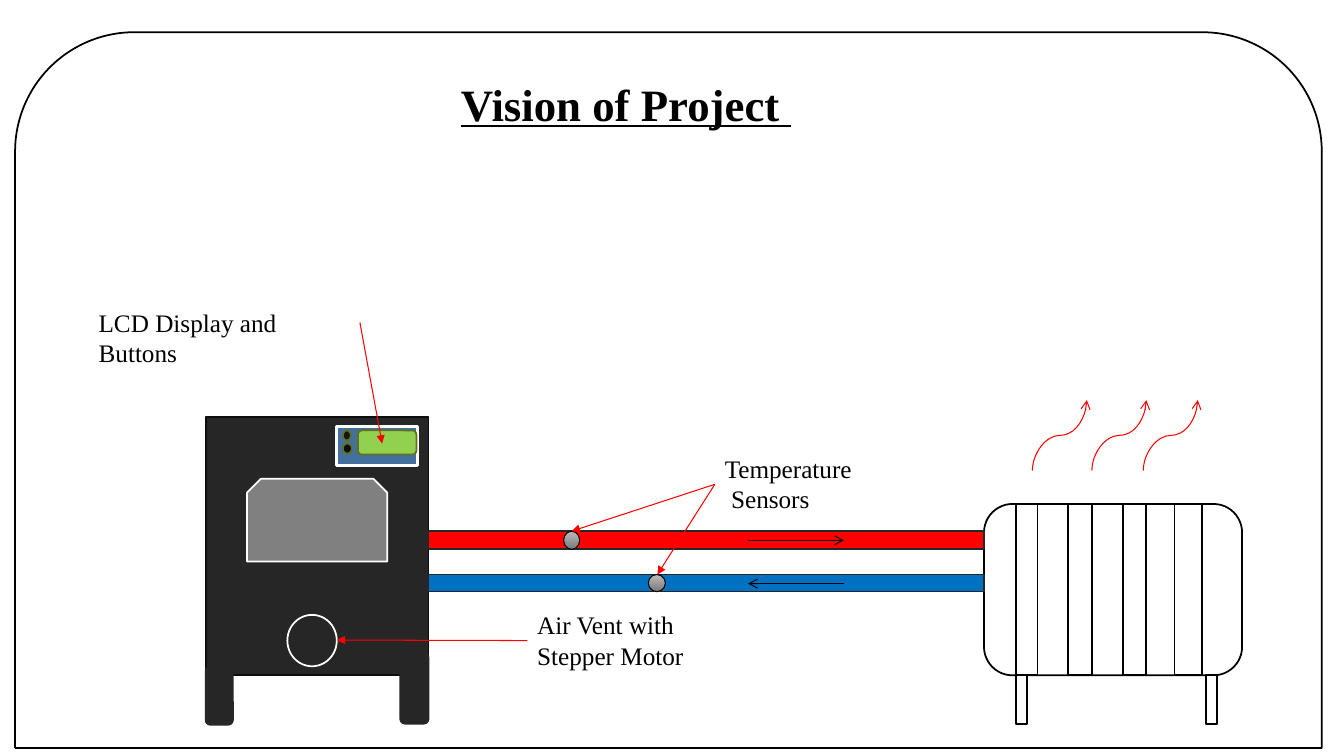
"""Build the "Vision of Project" slide: a boiler feeding a radiator through two pipes."""
from pptx import Presentation
from pptx import util as u
from pptx.dml import color
from pptx.enum import shapes, text
from pptx.oxml import ns, xmlchemy

FONT = "Times New Roman"
COLORS = {
    "white": "FFFFFF", "black": "000000", "coal": "262626", "ink": "0D0D0D",
    "gray": "808080", "red": "FF0000", "blue": "0070C0", "panel": "44709D",
    "lcd": "92D050", "olive": "61711F", "button": "161616",
    "metal_light": "BCBCBC", "metal_dark": "797979",
}
KIND = shapes.MSO_SHAPE
RECT, ROUND, CIRCLE = KIND.RECTANGLE, KIND.ROUNDED_RECTANGLE, KIND.FLOWCHART_CONNECTOR

TITLE = ("Vision of Project ", (4.47, 0.71, 3.53, 0.64))
FRAME = (KIND.ROUND_2_SAME_RECTANGLE, (0.15, 0.32, 12.96, 7.1), "white", "black", 1.25)
BOILER = [
    (RECT, (2.04, 4.14, 2.21, 2.56), "coal", "ink", 1.25),
    (KIND.SNIP_2_SAME_RECTANGLE, (2.45, 4.75, 1.39, 0.82), "gray", "white", 1.25),
    (CIRCLE, (2.85, 6.1, 0.49, 0.51), "coal", "white", 1.25),
    (ROUND, (2.04, 6.61, 0.27, 0.58), "coal", "coal", 1.25),
    (ROUND, (3.97, 6.48, 0.28, 0.7), "coal", "coal", 1.25),
]
RADIATOR = (9.76, 5, 2.56, 1.7)
FINS = [(10.08, 0.21), (10.59, 0.24), (11.14, 0.23), (11.65, 0.27)]
RADIATOR_LEGS = [10.08, 11.96]
PIPES = [
    (RECT, (4.25, 5.27, 5.51, 0.18), "red", "coal", 1.25),
    (RECT, (4.25, 5.7, 5.51, 0.17), "blue", "coal", 1.25),
]
CONTROLS = [
    (RECT, (3.34, 4.23, 0.8, 0.39), "panel", "white", 2),
    (ROUND, (3.55, 4.27, 0.58, 0.24), "lcd", "olive", 1.25),
    (CIRCLE, (3.4, 4.27, 0.08, 0.1), "button", "olive", 1.25),
    (CIRCLE, (3.4, 4.4, 0.09, 0.1), "ink", "olive", 1.25),
]
SENSORS = [(5.59, 5.27, 0.16, 0.18), (6.43, 5.7, 0.17, 0.17)]
LEFT, RIGHT = 1, 3
LABELS = [
    ("Air Vent with Stepper Motor", (5.23, 6, 1.86, 0.71), LEFT, [(3.34, 6.35)]),
    ("Temperature\n Sensors", (7.09, 4.45, 1.52, 0.71), LEFT, [(5.67, 5.27), (6.52, 5.7)]),
    ("LCD Display and Buttons", (0.88, 3, 2.69, 0.4), RIGHT, [(3.79, 4.4)]),
]
FLOWS = [((7.42, 5.36), (8.37, 5.36), "ink"), ((8.37, 5.79), (7.42, 5.79), "black")]
HEAT_LEFTS = [10.24, 10.83, 11.34]
HEAT_TOP, HEAT_WIDTH, HEAT_HEIGHT = 3.97, 0.54, 0.7


def rgb(name):
    return color.RGBColor.from_string(COLORS[name])


def add_part(page, kind, area, fill, line, weight):
    part = page.shapes.add_shape(kind, *map(u.Inches, area))
    part.shadow.inherit = False
    part.fill.solid()
    part.fill.fore_color.rgb = rgb(fill)
    part.line.color.rgb = rgb(line)
    part.line.width = u.Pt(weight)
    return part


def add_arrow(page, start, end, line, head, kind=shapes.MSO_CONNECTOR.STRAIGHT):
    arrow = page.shapes.add_connector(kind, *map(u.Inches, start + end))
    arrow.line.color.rgb = rgb(line)
    arrow.line.width = u.Pt(0.75)
    tail = xmlchemy.OxmlElement("a:tailEnd")
    tail.set("type", head)
    arrow.line._get_or_add_ln().append(tail)
    arrow._element.spPr.append(xmlchemy.OxmlElement("a:effectLst"))
    return arrow


def write(box, words, size, bold=False):
    frame = box.text_frame
    frame.text = words
    frame.word_wrap = True
    frame.auto_size = text.MSO_AUTO_SIZE.NONE
    frame.vertical_anchor = text.MSO_ANCHOR.TOP
    for para in frame.paragraphs:
        para.alignment = text.PP_ALIGN.LEFT
        for span in para.runs:
            span.font.name = FONT
            span.font.size = u.Pt(size)
            span.font.bold = span.font.underline = bold
            span.font.color.rgb = rgb("black")


def add_title(page):
    words, area = TITLE
    title = page.shapes.title
    title.left, title.top, title.width, title.height = map(u.Inches, area)
    write(title, words, 32, bold=True)
    title.text_frame.paragraphs[0].line_spacing = 1.0
    page.shapes._spTree.append(title._element)


def add_radiator(page):
    left, top, width, height = RADIATOR
    add_part(page, ROUND, RADIATOR, "white", "black", 1.25)
    bars = [(x, top, w, height) for x, w in FINS]
    bars += [(x, top + height, 0.11, 0.48) for x in RADIATOR_LEGS]
    for area in bars:
        add_part(page, RECT, area, "white", "black", 1.25)


def add_sensor(page, area):
    sensor = add_part(page, CIRCLE, area, "gray", "black", 0.75)
    sensor.fill.gradient()
    sensor.fill.gradient_angle = 270
    for stop, place, shade in zip(sensor.fill.gradient_stops, (0, 1), ("metal_light", "metal_dark")):
        stop.position = place
        stop.color.rgb = rgb(shade)


def add_label(page, words, area, side, targets):
    box = page.shapes.add_textbox(*map(u.Inches, area))
    write(box, words, 18)
    for target in targets:
        arrow = add_arrow(page, area[:2], target, "red", "triangle")
        arrow.begin_connect(box, side)


def add_heat(page, left):
    middle_x, middle_y = left + HEAT_WIDTH / 2, HEAT_TOP + HEAT_HEIGHT / 2
    half_x, half_y = HEAT_HEIGHT / 2, HEAT_WIDTH / 2
    start, end = (middle_x + half_x, middle_y + half_y), (middle_x - half_x, middle_y - half_y)
    wave = add_arrow(page, start, end, "red", "arrow", shapes.MSO_CONNECTOR.CURVE)
    wave._element.spPr.find(ns.qn("a:xfrm")).set("rot", str(90 * 60000))


def main():
    deck = Presentation()
    deck.slide_width, deck.slide_height = u.Inches(13.33), u.Inches(7.5)
    page = deck.slides.add_slide(deck.slide_layouts[5])
    for part in [FRAME, *BOILER]:
        add_part(page, *part)
    add_radiator(page)
    for part in PIPES + CONTROLS:
        add_part(page, *part)
    for area in SENSORS:
        add_sensor(page, area)
    for label in LABELS:
        add_label(page, *label)
    add_title(page)
    for start, end, line in FLOWS:
        add_arrow(page, start, end, line, "arrow")
    for left in HEAT_LEFTS:
        add_heat(page, left)
    deck.save("out.pptx")


if __name__ == "__main__":
    main()
